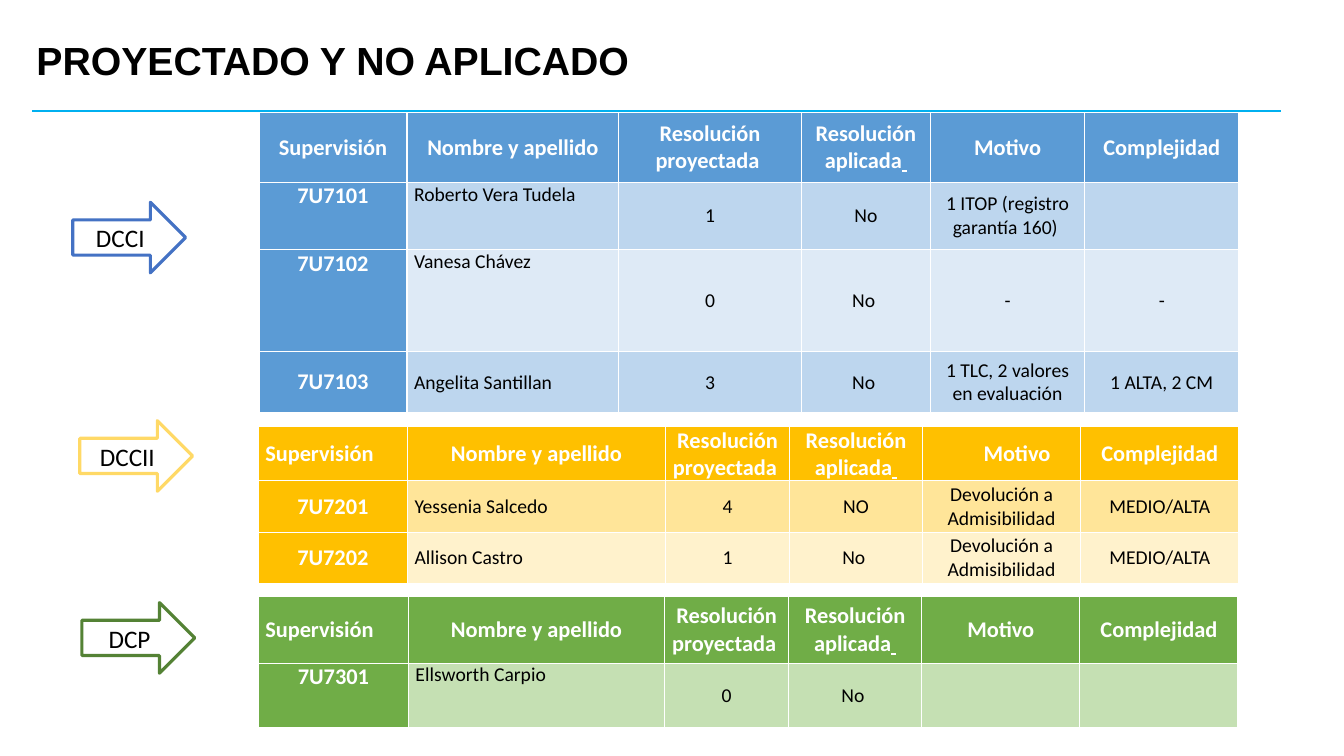
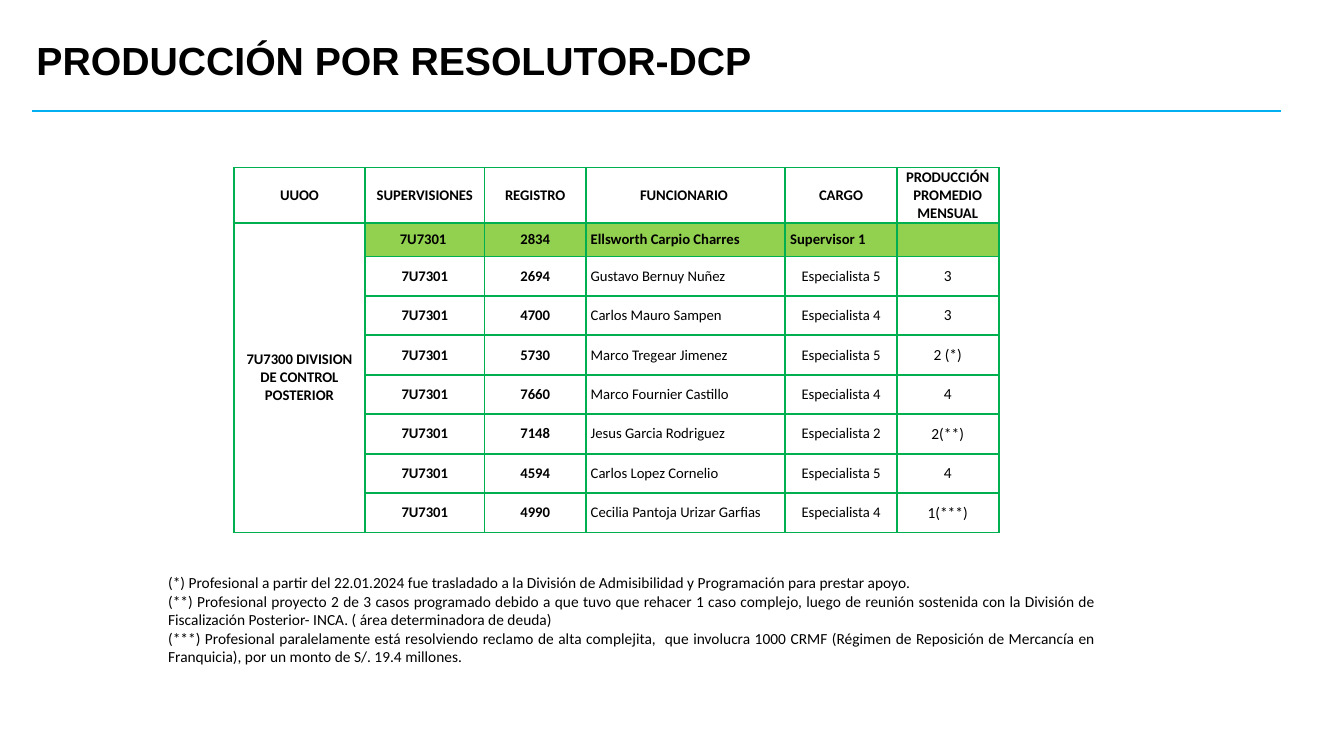
from lxml.etree import SubElement
from pptx import Presentation
from pptx.dml.color import RGBColor
from pptx.enum.shapes import MSO_CONNECTOR, MSO_SHAPE
from pptx.enum.text import MSO_ANCHOR as ANCHOR, PP_ALIGN as ALIGN
from pptx.oxml.ns import qn
from pptx.util import Pt

BLACK, WHITE = "000000", "FFFFFF"
RULE, GRID, LIME = "00B0F0", "00B050", "92D050"
BODY, HEADING = "Calibri", "Arial"

# Slide 1: one entry per division; a row ends with True when its names sit at the top
HEADER = ["Supervisión", "Nombre y apellido", "Resolución proyectada ",
          ("Resolución aplicada", " "), "Motivo", "Complejidad"]
DIVISIONS = [
    dict(name="DCCI", arrow=(52, 144.5), line="4472C4", box=(185, 80.6),
         dark="5B9BD5", tints=("BDD6EE", "DEEAF6"),
         cols=[105.8, 151.2, 130.5, 92.2, 110.2, 110.2],
         heights=[49.7, 48.2, 72.7, 43.9], header_align=ALIGN.CENTER, motive_indent=0,
         rows=[(["7U7101", "Roberto Vera Tudela", "1", "No",
                 "1 ITOP (registro garantía 160) ", ""], True),
               (["7U7102", "Vanesa Chávez", "0", "No ", "-", "-"], True),
               (["7U7103", "Angelita Santillan", "3", "No ",
                 "1 TLC, 2 valores en evaluación", "1 ALTA, 2 CM"], False)]),
    dict(name="DCCII", arrow=(57, 300.5), line="FFD966", box=(184.5, 304.8),
         dark="FFC000", tints=("FFE599", "FFF2CC"),
         cols=[106.6, 184.3, 88.6, 95, 113, 113],
         heights=[38.5, 36.8, 36.8], header_align=ALIGN.LEFT, motive_indent=22,
         rows=[(["7U7201", "Yessenia Salcedo", "4", "NO",
                 "Devolución a Admisibilidad", "MEDIO/ALTA"], False),
               (["7U7202", "Allison Castro", "1", "No ",
                 "Devolución a Admisibilidad", "MEDIO/ALTA"], False)]),
    dict(name="DCP", arrow=(58.5, 430.5), line="548235", box=(184.5, 426.2),
         dark="70AD47", tints=("C5E0B3",),
         cols=[107.3, 183, 88.6, 95, 113, 113],
         heights=[47.6, 46.2], header_align=ALIGN.LEFT, motive_indent=0,
         rows=[(["7U7301", "Ellsworth Carpio", "0", "No ", "", ""], True)]),
]

# Slide 2
STAFF_HEADER = ["UUOO", "SUPERVISIONES", "REGISTRO", "FUNCIONARIO ", "CARGO",
                "PRODUCCIÓN PROMEDIO MENSUAL"]
UNIT = "7U7300 DIVISION DE CONTROL POSTERIOR"
SUPERVISOR = ["7U7301 ", "2834", "Ellsworth Carpio Charres", "Supervisor 1", ""]
STAFF = [
    ("2694", "Gustavo Bernuy Nuñez", "Especialista 5", "3"),
    ("4700", "Carlos Mauro Sampen", "Especialista 4", "3"),
    ("5730", "Marco Tregear Jimenez", "Especialista 5", "2 (*)"),
    ("7660", "Marco Fournier Castillo", "Especialista 4", "4"),
    ("7148", "Jesus Garcia Rodriguez", "Especialista 2", "2(**)"),
    ("4594", "Carlos Lopez Cornelio", "Especialista 5", "4"),
    ("4990", "Cecilia Pantoja Urizar Garfias", "Especialista 4", "1(***)"),
]
NOTES = [
    "(*) Profesional a partir del 22.01.2024 fue trasladado a la División de "
    "Admisibilidad y Programación para prestar apoyo.",
    "(**) Profesional proyecto 2 de 3 casos programado debido a que tuvo que rehacer "
    "1 caso complejo, luego de reunión sostenida con la División de Fiscalización "
    "Posterior- INCA. ( área determinadora de deuda)",
    "(***) Profesional paralelamente está resolviendo reclamo de alta complejita,  que "
    "involucra 1000 CRMF (Régimen de Reposición de Mercancía en Franquicia), por un "
    "monto de S/. 19.4 millones.",
]


def rgb(value):
    return RGBColor.from_string(value)


def style(p, size, color=BLACK, bold=False, align=ALIGN.LEFT, font=BODY):
    p.alignment = align
    p.font.name, p.font.size, p.font.bold = font, Pt(size), bold
    p.font.color.rgb = rgb(color)


def add_text(s, x, y, w, h, lines, anchor=ANCHOR.TOP, spacing=None, **look):
    tf = s.shapes.add_textbox(Pt(x), Pt(y), Pt(w), Pt(h)).text_frame
    tf.word_wrap, tf.vertical_anchor = True, anchor
    for i, line in enumerate(lines):
        p = tf.paragraphs[0] if i == 0 else tf.add_paragraph()
        p.add_run().text = line
        p.line_spacing = spacing
        style(p, **look)


def add_base(prs, title):
    """Blank slide with the shared title and rule."""
    s = prs.slides.add_slide(prs.slide_layouts[6])
    rule = s.shapes.add_connector(MSO_CONNECTOR.STRAIGHT, Pt(23), Pt(79), Pt(915), Pt(79))
    rule.line.color.rgb, rule.line.width = rgb(RULE), Pt(1.5)
    SubElement(rule._element.spPr, qn("a:effectLst"))
    add_text(s, 19, 19.5, 828, 50.5, [title], ANCHOR.MIDDLE, 0.9,
             size=28, bold=True, font=HEADING)
    return s


def add_grid(s, x, y, cols, heights):
    """Table without built-in banding."""
    frame = s.shapes.add_table(len(heights), len(cols), Pt(x), Pt(y),
                               Pt(sum(cols)), Pt(sum(heights)))
    table = frame.table
    table.first_row = table.horz_banding = False
    for col, width in zip(table.columns, cols):
        col.width = Pt(width)
    for row, height in zip(table.rows, heights):
        row.height = Pt(height)
    return table


def fill_cell(cell, value, fill, border, width, inset, anchor=ANCHOR.MIDDLE,
              indent=0, **look):
    """Borders, fill and text; a (text, tail) value underlines its tail."""
    tcPr = cell._tc.get_or_add_tcPr()
    for side in ("a:lnL", "a:lnR", "a:lnT", "a:lnB"):
        ln = SubElement(tcPr, qn(side), w=str(Pt(width)))
        SubElement(SubElement(ln, qn("a:solidFill")), qn("a:srgbClr"), val=border)
    cell.fill.solid()
    cell.fill.fore_color.rgb = rgb(fill)
    cell.margin_left, cell.margin_right = Pt(inset + indent), Pt(inset)
    cell.margin_top = cell.margin_bottom = 0
    cell.vertical_anchor = anchor
    p = cell.text_frame.paragraphs[0]
    text, tail = value if isinstance(value, tuple) else (value, "")
    if text:
        p.add_run().text = text
    if tail:
        r = p.add_run()
        r.text, r.font.underline = tail, True
    style(p, **look)


def add_arrow(s, x, y, text, color):
    sp = s.shapes.add_shape(MSO_SHAPE.RIGHT_ARROW, Pt(x), Pt(y), Pt(80.6), Pt(50.4))
    sp.shadow.inherit = False
    sp.fill.solid()
    sp.fill.fore_color.rgb = rgb(WHITE)
    sp.line.color.rgb, sp.line.width = rgb(color), Pt(2.25)
    sp.text_frame.vertical_anchor = ANCHOR.MIDDLE
    p = sp.text_frame.paragraphs[0]
    p.add_run().text = text
    style(p, 18, align=ALIGN.CENTER)


def add_division(s, d):
    """Arrow label and its coloured table."""
    add_arrow(s, *d["arrow"], d["name"], d["line"])
    table = add_grid(s, *d["box"], d["cols"], d["heights"])
    edges = dict(border=WHITE, width=1, inset=5)
    strong = dict(edges, fill=d["dark"], size=16, color=WHITE, bold=True)
    for c, value in enumerate(HEADER):
        fill_cell(table.cell(0, c), value, **strong,
                  indent=d["motive_indent"] if value == "Motivo" else 0,
                  align=d["header_align"] if c == 0 else ALIGN.CENTER)
    for i, (values, at_top) in enumerate(d["rows"]):
        plain = dict(edges, fill=d["tints"][i % len(d["tints"])], size=14)
        for c, value in enumerate(values):
            fill_cell(table.cell(i + 1, c), value, **(strong if c == 0 else plain),
                      anchor=ANCHOR.TOP if at_top and c < 2 else ANCHOR.MIDDLE,
                      align=ALIGN.LEFT if c == 1 else ALIGN.CENTER)


def add_staff_table(s, x, y):
    cols = [93.8, 85.3, 72.4, 142.5, 79.5, 73]
    table = add_grid(s, x, y, cols, [39.5, 24] + [28.2] * len(STAFF))
    rows = [STAFF_HEADER, [UNIT] + SUPERVISOR]
    rows += [["", "7U7301", *person] for person in STAFF]
    table.cell(1, 0).merge(table.cell(len(rows) - 1, 0))
    for i, values in enumerate(rows):
        person = i > 1
        for c, value in enumerate(values):
            left = i > 0 and c == 3 or i == 1 and c == 4
            fill_cell(table.cell(i, c), value, LIME if i == 1 and c > 0 else WHITE,
                      GRID, 1.5, 3.5, size=11 if person and c == 5 else 10.5,
                      bold=not (person and c > 2),
                      align=ALIGN.LEFT if left else ALIGN.CENTER)


def main():
    prs = Presentation()
    prs.slide_width, prs.slide_height = Pt(960), Pt(540)

    # Projected and not applied
    s = add_base(prs, "PROYECTADO Y NO APLICADO")
    for division in DIVISIONS:
        add_division(s, division)

    # Output per person
    s = add_base(prs, "PRODUCCIÓN POR RESOLUTOR-DCP")
    add_staff_table(s, 167, 119.7)
    add_text(s, 113, 406, 677, 74, NOTES, size=11, align=ALIGN.JUSTIFY)

    prs.save("out.pptx")


if __name__ == "__main__":
    main()
